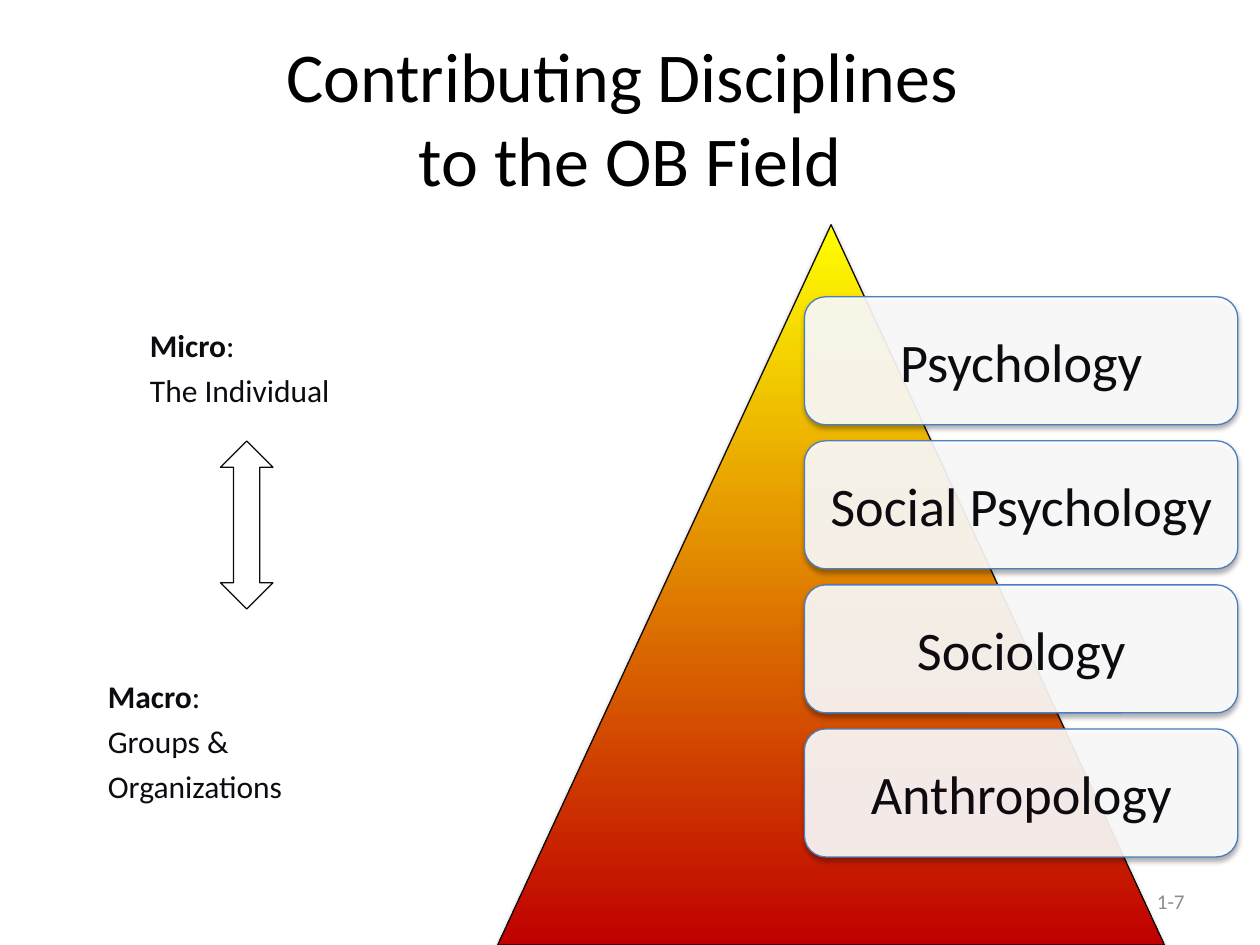
from lxml.etree import SubElement as Sub
from pptx import Presentation
from pptx.dml.color import RGBColor as RGB
from pptx.enum.shapes import MSO_SHAPE as SHAPE
from pptx.enum.text import MSO_ANCHOR as ANCHOR, PP_ALIGN as ALIGN
from pptx.oxml.ns import qn
from pptx.util import Inches, Pt

BLACK = RGB(0x00, 0x00, 0x00)
INK = RGB(0x0D, 0x0A, 0x10)
GREY = RGB(0x8C, 0x8C, 0x8C)
WHITE = RGB(0xFF, 0xFF, 0xFF)
BLUE = RGB(0x4B, 0x7E, 0xBC)
YELLOW = RGB(0xFF, 0xFF, 0x00)
RED = RGB(0xC0, 0x00, 0x00)

FONT = "Calibri"
UNIT = Inches(1) / 12  # the slide is a grid of 120 columns and 90 rows
FIELDS = ["Psychology", "Social Psychology", "Sociology", "Anthropology"]


def scale(box):
    return [round(n * UNIT) for n in box]


def add_run(para, text, size, color, bold=False):
    run = para.add_run()
    run.text = text
    font = run.font
    font.name, font.size, font.bold = FONT, Pt(size), bold
    font.color.rgb = color


def set_frame(shape, pads):
    """Wrap and centre the text vertically; pads are left, top, right, bottom."""
    frame = shape.text_frame
    frame.word_wrap = True
    frame.vertical_anchor = ANCHOR.MIDDLE
    (frame.margin_left, frame.margin_top,
     frame.margin_right, frame.margin_bottom) = map(Inches, pads)
    return frame


def add_text(slide, box, pads=(0.1, 0.05, 0.1, 0.05)):
    return set_frame(slide.shapes.add_textbox(*scale(box)), pads)


def add_shape(slide, kind, box, line):
    shape = slide.shapes.add_shape(kind, *scale(box))
    shape.shadow.inherit = False
    shape.fill.solid()
    shape.fill.fore_color.rgb = WHITE
    shape.line.color.rgb = line
    shape.line.width = Pt(0.75)
    return shape


def add_alpha(color, share):
    Sub(color, qn("a:alpha"), val=str(share * 1000))


def add_shade(shape):
    """Give the shape a soft shadow straight below it."""
    effects = shape._element.spPr.find(qn("a:effectLst"))
    shade = Sub(effects, qn("a:outerShdw"), blurRad=str(Pt(3.1)),
                dist=str(Pt(1.8)), dir="5400000", rotWithShape="0")
    add_alpha(Sub(shade, qn("a:srgbClr"), val=str(BLACK)), 35)


def add_title(slide, box):
    para = add_text(slide, box).paragraphs[0]
    para.alignment = ALIGN.CENTER
    add_run(para, "Contributing Disciplines ", 40, BLACK)
    para.add_line_break()
    add_run(para, "to the OB Field", 40, BLACK)


def add_number(slide, box):
    para = add_text(slide, box).paragraphs[0]
    para.alignment = ALIGN.RIGHT
    add_run(para, "1-7", 12, GREY)


def add_card(slide, box, text):
    card = add_shape(slide, SHAPE.ROUNDED_RECTANGLE, box, BLUE)
    add_shade(card)
    add_alpha(card._element.spPr.find(qn("a:solidFill"))[0], 90)
    para = set_frame(card, [0.13] * 4).paragraphs[0]
    para.alignment = ALIGN.CENTER
    add_run(para, text, 31, INK)


def add_pyramid(slide, box):
    peak = add_shape(slide, SHAPE.ISOSCELES_TRIANGLE, box, INK)
    add_shade(peak)
    peak.fill.gradient()
    peak.fill.gradient_angle = 270
    for stop, color in zip(peak.fill.gradient_stops, (YELLOW, RED)):
        stop.color.rgb = color

    left, top, wide, high = box
    tall = high * 0.8 / 4.5  # four cards, each gap an eighth of a card
    for row, text in enumerate(FIELDS):
        y = top + high * 0.1 + row * tall * 9 / 8
        add_card(slide, (left + wide * 0.46, y, wide * 0.65, tall), text)


def add_level(slide, box, head, lines):
    frame = add_text(slide, box, (0.19, 0, 0.19, 0.19))
    para = frame.paragraphs[0]
    add_run(para, head, 18, INK, True)
    add_run(para, ":", 18, INK)
    for line in lines:
        add_run(frame.add_paragraph(), line, 18, INK)
    for para in frame.paragraphs:
        para.line_spacing = 0.9
        para.space_after = Pt(6.3)


def main():
    deck = Presentation()
    deck.slide_width, deck.slide_height = scale((120, 90))
    slide = deck.slides.add_slide(deck.slide_layouts[6])
    add_title(slide, (6, 3.6, 108, 15))
    add_number(slide, (86, 83.4, 28, 4.8))
    add_pyramid(slide, (47.4, 21.4, 63.5, 68.6))
    add_level(slide, (12, 23, 23, 26.8), "Micro", ["The Individual"])
    add_level(slide, (8, 59, 31, 25.8), "Macro", ["Groups &", "Organizations"])
    add_shape(slide, SHAPE.UP_DOWN_ARROW, (21, 42, 5, 16), INK)
    deck.save("out.pptx")


if __name__ == "__main__":
    main()
